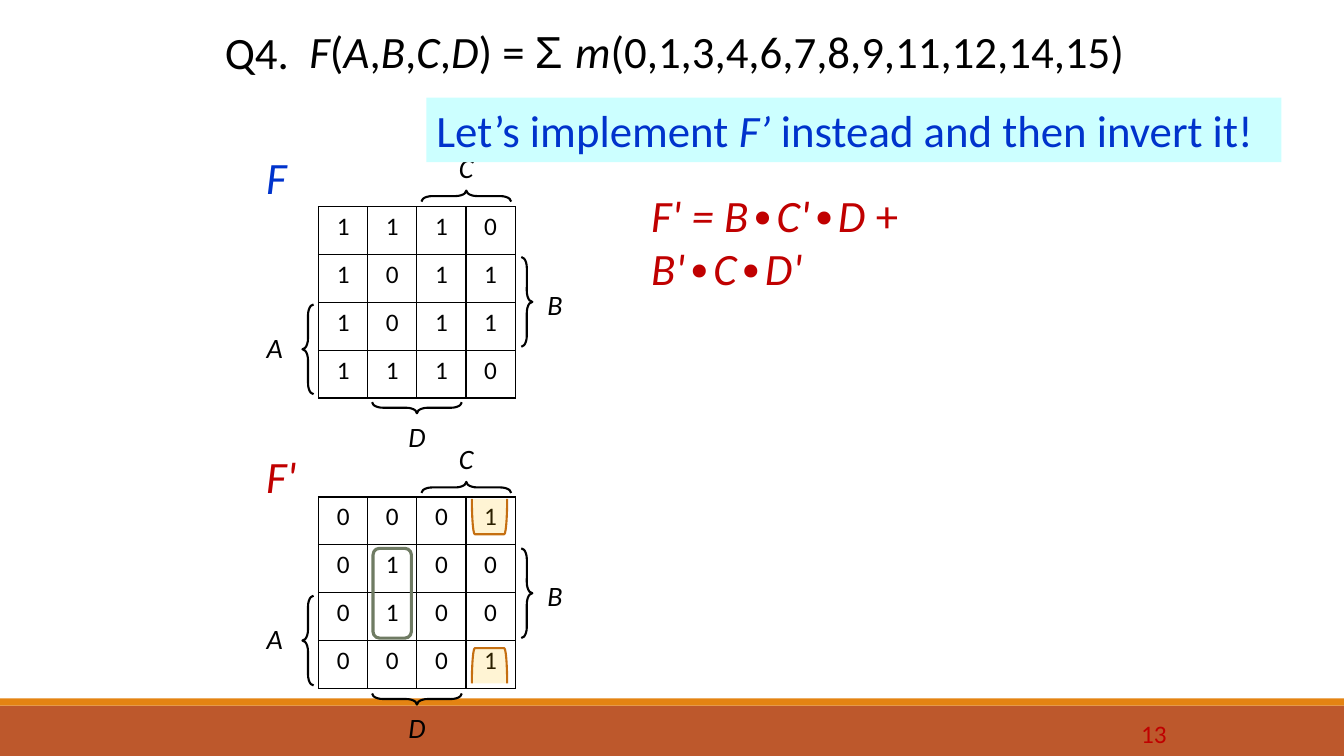
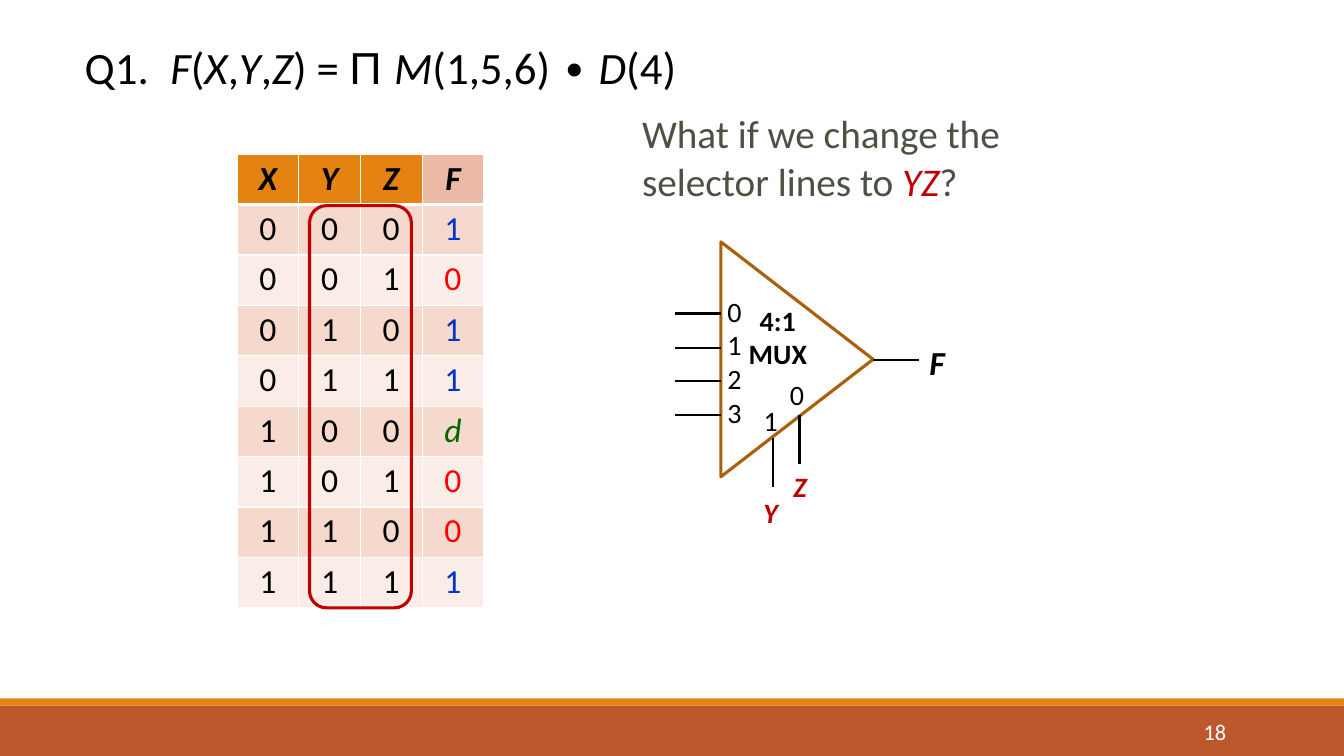
import lxml.etree
import pptx
import pptx.dml.color
import pptx.enum.shapes
import pptx.enum.text
import pptx.oxml
import pptx.oxml.ns
import pptx.util

PX = 9144  # one hundredth of an inch
BLACK, WHITE, RED, BLUE = "000000", "FFFFFF", "C00000", "0033CC"
SHAPE = pptx.enum.shapes.MSO_SHAPE
ALIGN = pptx.enum.text.PP_ALIGN
ANCHOR = pptx.enum.text.MSO_ANCHOR
rgb = pptx.dml.color.RGBColor.from_string
qn = pptx.oxml.ns.qn


def write(frame, paragraphs, size, colour, align=ALIGN.CENTER, **font_format):
    """Fill a frame; a paragraph is a list of (text, format), *text* is italic."""
    frame.word_wrap = True
    for index, pieces in enumerate(paragraphs):
        paragraph = frame.paragraphs[0] if index == 0 else frame.add_paragraph()
        paragraph.alignment = align
        if isinstance(pieces, str):
            pieces = [(pieces, {})]
        for text, piece_format in pieces:
            for part, words in enumerate(text.split("*")):
                if not words:
                    continue
                run = paragraph.add_run()
                run.text = words
                values = {"name": "Calibri", "size": pptx.util.Pt(size), "colour": colour,
                          "bold": False, "italic": part % 2 == 1}
                values.update(font_format)
                values.update(piece_format)
                run.font.color.rgb = rgb(values.pop("colour"))
                for name, value in values.items():
                    setattr(run.font, name, value)


def add_text(slide, box, paragraphs, size, colour, align=ALIGN.CENTER, **font_format):
    text_box = slide.shapes.add_textbox(*[v * PX for v in box])
    write(text_box.text_frame, paragraphs, size, colour, align, **font_format)
    return text_box


deck = pptx.Presentation()
deck.slide_width, deck.slide_height = 1333 * PX, 750 * PX
title_only = deck.slide_layouts[5]
kmap_slide = deck.slides.add_slide(title_only)
mux_slide = deck.slides.add_slide(title_only)

# Footer bands, moved to the back of the slide master
master_tree = deck.slide_master.shapes.element
bands = [("BD582C", 700, 50), ("E48312", 693, 7)]
for index, (colour, top, height) in enumerate(bands):
    band = kmap_slide.shapes.add_shape(SHAPE.RECTANGLE, 0, top * PX, 1333 * PX, height * PX)
    band.shadow.inherit = False
    band.fill.solid()
    band.fill.fore_color.rgb = rgb(colour)
    band.line.fill.background()
    band.element.xpath(".//p:cNvPr")[0].set("id", str(101 + index))
    master_tree.insert(2 + index, band.element)

# Question numbers, formulas and slide numbers
ARIAL = {"name": "Arial"}
headings = [
    (kmap_slide, "Q4.", (213, 26, 98, 65), 0.9, (297, 19, 832, 64),
     [("*F*(*A*,*B*,*C*,*D*) = ", {}), ("Σ ", ARIAL), ("*m*(0,1,3,4,6,7,8,9,11,12,14,15)", {})],
     "13", (1092, 706, 75, 44), 18, RED),
    (mux_slide, "Q1.", (74, 34, 85, 72), 1.0, (159, 34, 635, 64),
     [("*F*(*X*,*Y*,*Z*) = ", {}), ("Π ", ARIAL), ("*M*(1,5,6) ∙ *D*(4)", {})],
     "18", (1083, 706, 143, 40), 16, WHITE),
]
for (slide, question, question_box, spacing, formula_box, formula,
     page, page_box, page_size, page_colour) in headings:
    title = slide.shapes.title
    title.left, title.top, title.width, title.height = [v * PX for v in question_box]
    write(title.text_frame, [question], 32, BLACK, ALIGN.LEFT)
    title.text_frame.vertical_anchor = ANCHOR.TOP
    title.text_frame.auto_size = pptx.enum.text.MSO_AUTO_SIZE.NONE
    title.text_frame.paragraphs[0].line_spacing = spacing
    add_text(slide, formula_box, [formula], 32, BLACK, ALIGN.LEFT)
    page_number = add_text(slide, page_box, [page], page_size, page_colour, ALIGN.RIGHT)
    page_number.text_frame.vertical_anchor = ANCHOR.MIDDLE

# Karnaugh maps and truth table
OUTPUT_COLOURS = {"F": BLACK, "0": "FF0000", "1": BLUE, "d": "006600"}
truth_rows = ["XYZF", "0001", "0010", "0101", "0111", "100d", "1010", "1100", "1111"]
tables = [
    (kmap_slide, (316, 205, 195, 190), ["1110", "1011", "1011", "1110"], 18, BLACK, 5),
    (kmap_slide, (316, 493, 195, 190), ["0001", "0100", "0100", "0001"], 18, BLACK, 5),
    (mux_slide, (235, 153, 245, 450), truth_rows, 24, WHITE, 4),
]
for slide, box, rows, size, border, margin in tables:
    table = slide.shapes.add_table(len(rows), 4, *[v * PX for v in box]).table
    table.first_row = table.horz_banding = False
    is_truth = rows is truth_rows
    for r, row in enumerate(rows):
        for c, value in enumerate(row):
            cell = table.cell(r, c)
            cell.margin_top = cell.margin_bottom = margin * PX
            is_header = is_truth and r == 0
            is_output = is_truth and c == 3
            write(cell.text_frame, [value], size, OUTPUT_COLOURS[value] if is_output else BLACK,
                  bold=is_header, italic=is_header or value == "d")
            properties = cell._tc.get_or_add_tcPr()
            for side in ("L", "R", "T", "B"):
                thick = (is_header and side == "B") or (is_truth and r == 1 and side == "T")
                edge = lxml.etree.SubElement(properties, qn("a:ln" + side),
                                             w=str(pptx.util.Pt(3 if thick else 1)))
                edge_fill = lxml.etree.SubElement(edge, qn("a:solidFill"))
                lxml.etree.SubElement(edge_fill, qn("a:srgbClr"), val=border)
            if not is_truth:
                cell.fill.background()
                continue
            cell.fill.solid()
            if is_header:
                fill = "EABAA5" if is_output else "E48312"
            else:
                fill = "F5D9CC" if r % 2 else "FAEDE7"
            cell.fill.fore_color.rgb = rgb(fill)

# Shape, box, rotation, line colour, line width
outlines = [
    (kmap_slide, SHAPE.ROUNDED_RECTANGLE, (370, 544, 38, 89), 0, "6F7B63", 2.25),
    (kmap_slide, SHAPE.LEFT_BRACKET, (468, 495, 35, 35), 270, "C56F11", 1.5),
    (kmap_slide, SHAPE.LEFT_BRACKET, (468, 643, 35, 35), 90, "C56F11", 1.5),
    (mux_slide, SHAPE.FLOWCHART_EXTRACT, (674, 281, 233, 151), 90, "A9610D", 2.25),
    (mux_slide, SHAPE.ROUNDED_RECTANGLE, (307, 204, 101, 399), 0, RED, 2.25),
]
# Variable names and braces around each map
variables = [
    ("A", (244, 323), SHAPE.LEFT_BRACE, (300, 302), 0),
    ("B", (522, 280), SHAPE.RIGHT_BRACE, (517, 255), 0),
    ("C", (434, 144), SHAPE.RIGHT_BRACE, (457, 150), 270),
    ("D", (385, 411), SHAPE.RIGHT_BRACE, (408, 360), 90),
]
for name, name_top, colour, drop in [("F", 144, BLUE, 0), ("F'", 440, RED, 289)]:
    add_text(kmap_slide, (254, name_top, 55, 64), [name], 32, colour, ALIGN.LEFT, italic=True)
    for variable, (left, top), brace, (brace_left, brace_top), turn in variables:
        add_text(kmap_slide, (left, top + drop, 57, 44), [variable], 20, BLACK, italic=True)
        outlines.append((kmap_slide, brace, (brace_left, brace_top + drop, 11, 89),
                         turn, BLACK, 1.5))

for slide, kind, box, turn, colour, width in outlines:
    outline = slide.shapes.add_shape(kind, *[v * PX for v in box])
    outline.shadow.inherit = False
    outline.rotation = turn
    outline.line.color.rgb = rgb(colour)
    outline.line.width = pptx.util.Pt(width)
    if kind == SHAPE.LEFT_BRACKET:
        outline.fill.solid()
        outline.fill.fore_color.rgb = rgb("FFC000")
        tint = outline.element.spPr.find(qn("a:solidFill"))[0]
        lxml.etree.SubElement(tint, qn("a:alpha"), val="17000")
    else:
        outline.fill.background()
    if kind in (SHAPE.LEFT_BRACE, SHAPE.RIGHT_BRACE):
        outline.adjustments[0] = 0.99

# Remarks
hint = add_text(kmap_slide, (423, 97, 848, 64),
                ["Let’s implement *F’* instead and then invert it!"], 32, BLUE, ALIGN.LEFT)
hint.fill.solid()
hint.fill.fore_color.rgb = rgb("CCFFFF")
add_text(kmap_slide, (636, 181, 369, 64), ["*F' = B∙C'∙D *+ *B'∙C∙D'*"], 32, RED, ALIGN.LEFT)
add_text(mux_slide, (627, 104, 435, 104),
         [[("What if we change the selector lines to ", {}), ("*YZ*", {"colour": RED}), ("?", {})]],
         28, "4A5242", ALIGN.LEFT)

# Multiplexer labels and wires
BOLD, BOLD_ITALIC = {"bold": True}, {"bold": True, "italic": True}
mux_labels = [
    ((700, 287, 57, 145), ["0", "1", "2", "3"], 20, BLACK, {}),
    ((713, 296, 117, 77), ["4:1", "MUX"], 20, BLACK, BOLD),
    ((762, 370, 57, 44), ["0"], 20, BLACK, {}),
    ((736, 395, 57, 44), ["1"], 20, BLACK, {}),
    ((901, 334, 57, 50), ["F"], 24, BLACK, BOLD_ITALIC),
    ((736, 487, 57, 44), ["Y"], 20, RED, BOLD_ITALIC),
    ((765, 461, 57, 44), ["Z"], 20, RED, BOLD_ITALIC),
]
for box, lines, size, colour, font_format in mux_labels:
    add_text(mux_slide, box, lines, size, colour, **font_format)

inputs = [(669, y, 715, y) for y in (311, 345, 378, 412)]
selectors = [(767, 435, 767, 483), (793, 412, 793, 460)]
output = (866, 357, 912, 357)
for ends in [*inputs, *selectors, output]:
    wire = mux_slide.shapes.add_connector(pptx.enum.shapes.MSO_CONNECTOR.STRAIGHT,
                                          *[v * PX for v in ends])
    wire.line.color.rgb = rgb(BLACK)
    wire.line.width = pptx.util.Pt(1.5)
    lxml.etree.SubElement(wire.element.spPr, qn("a:effectLst"))

deck.save("out.pptx")
